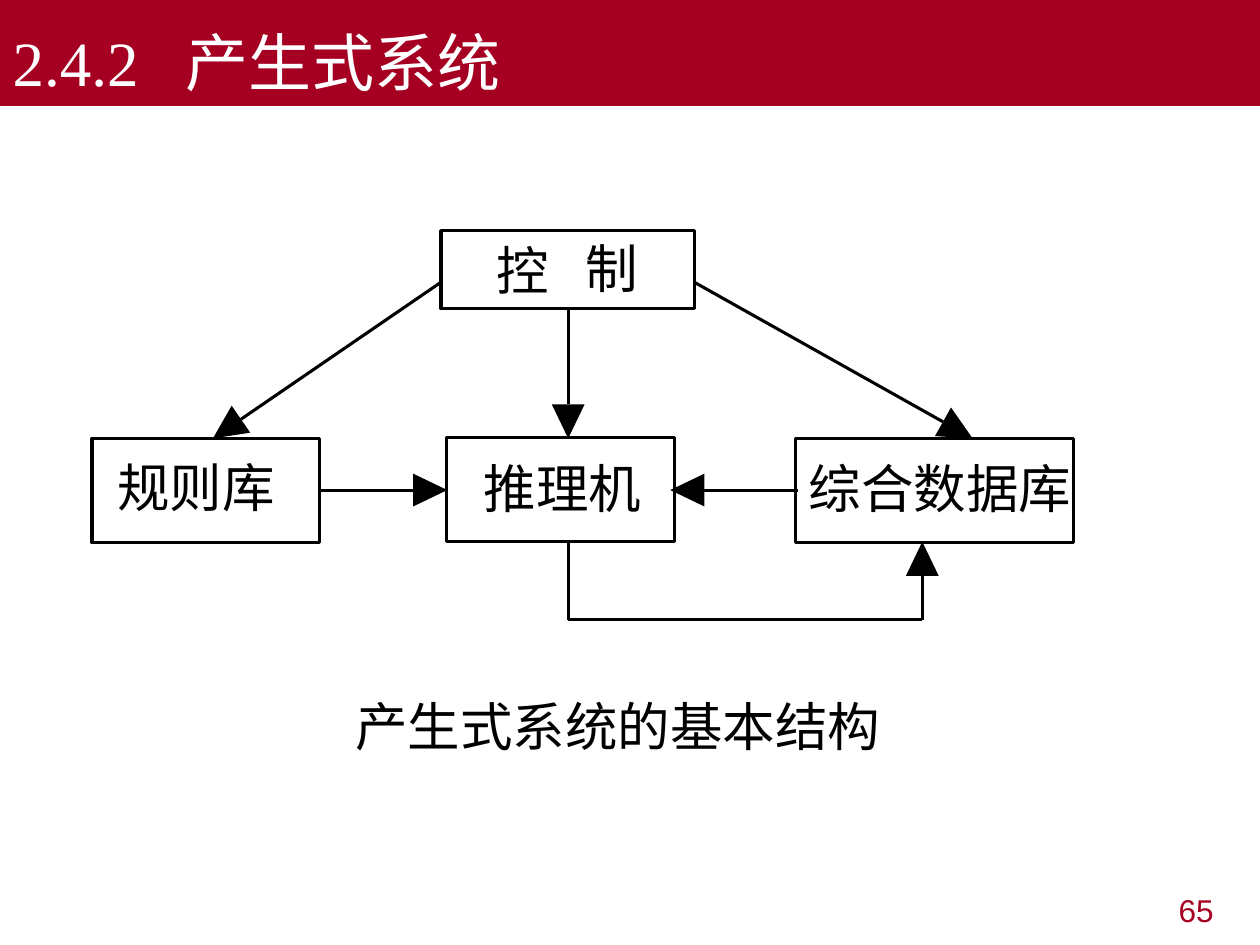
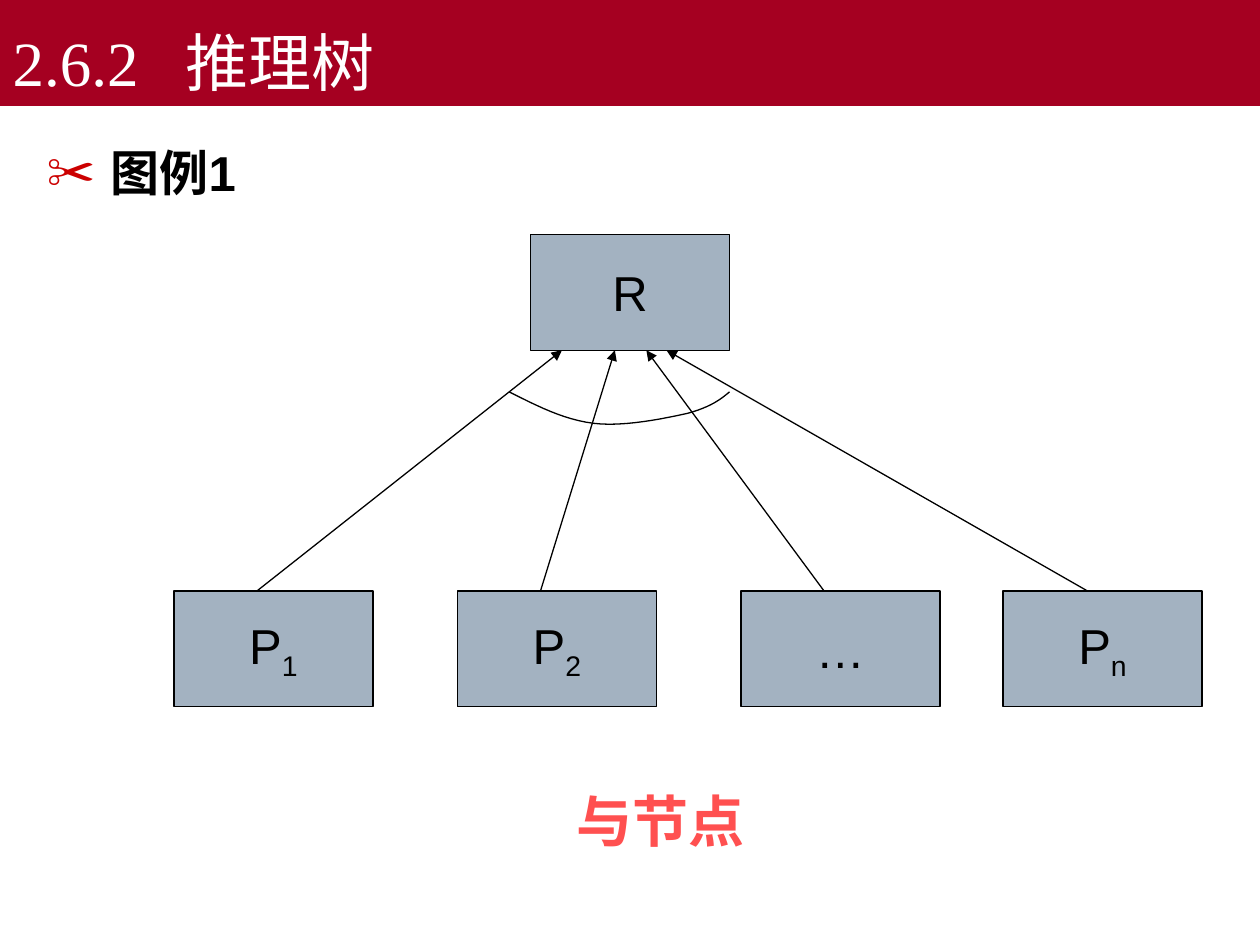
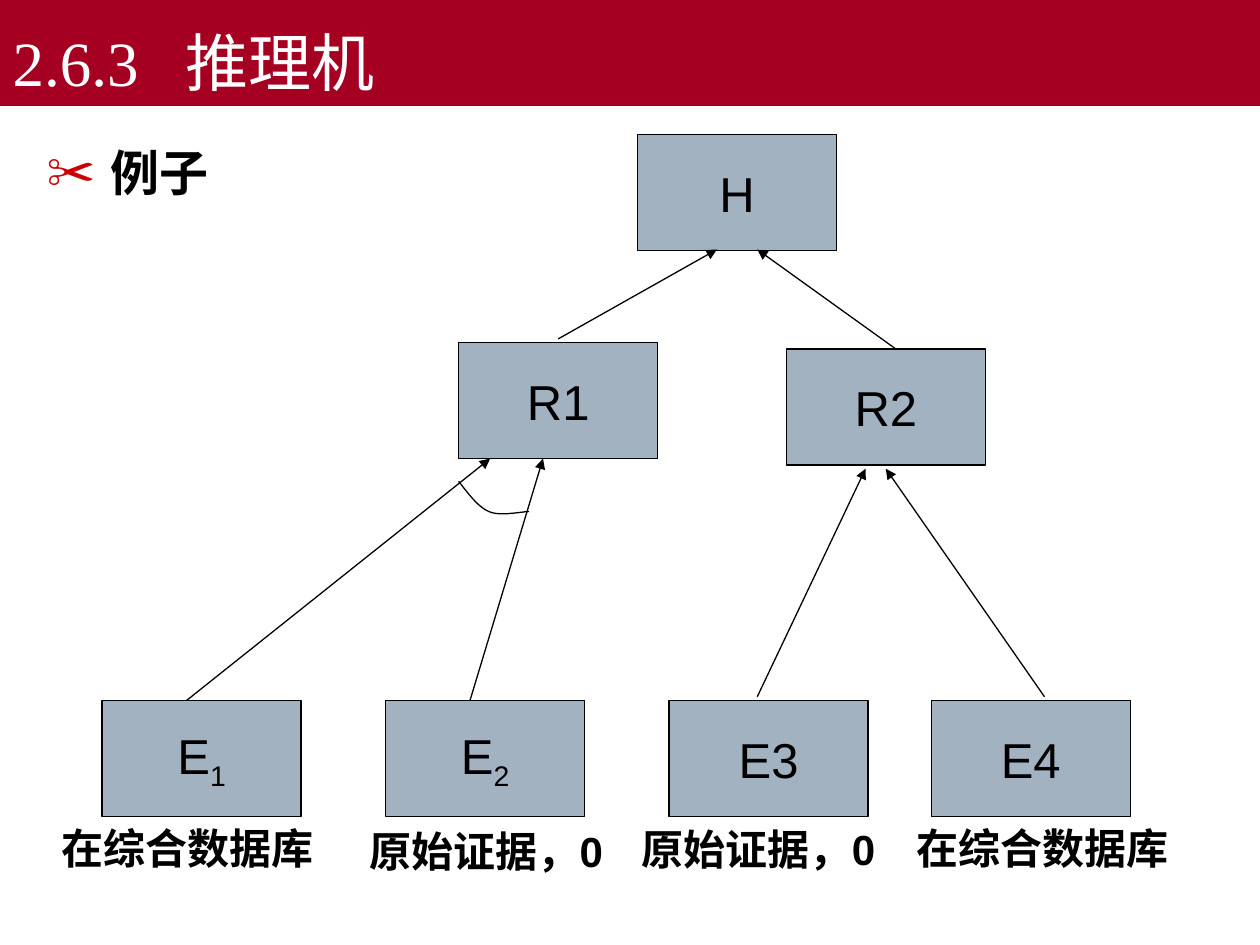
import math

import pptx
import pptx.util
from pptx.dml.color import RGBColor
from pptx.enum.shapes import MSO_CONNECTOR, MSO_SHAPE
from pptx.enum.text import MSO_ANCHOR, PP_ALIGN
from pptx.oxml.ns import qn
from pptx.oxml.xmlchemy import OxmlElement
from pptx.util import Inches

COLORS = {"band": "A50021", "white": "FFFFFF", "ink": "000000",
          "node": "A3B2C1", "bullet": "CC0000", "accent": "FF5050"}
SANS, SERIF, CJK = "Arial", "Times New Roman", "Noto Sans CJK SC"
TITLE_ONLY, TITLE_AND_BODY = 5, 1

# Content: structure of a production system
STRUCTURE = {
    "title": ("2.4.2", "产生式系统"),
    "frames": [(3.5, 1.83, 2.01, 0.62), (0.73, 3.48, 1.81, 0.83),
               (3.54, 3.47, 1.81, 0.83), (6.31, 3.48, 2.21, 0.83)],
    "labels": [("控", 3.94, 1.89), ("制", 4.65, 1.87), ("规则库", 0.93, 3.61),
               ("推理机", 3.84, 3.62), ("综合数据库", 6.42, 3.62),
               ("产生式系统的基本结构", 2.82, 5.51)],
    "arrows": [((4.51, 2.45), (4.51, 3.48)), ((3.5, 2.24), (1.69, 3.48)),
               ((5.51, 2.24), (7.72, 3.48)), ((2.54, 3.89), (3.55, 3.89)),
               ((6.33, 3.89), (5.32, 3.89)), ((7.32, 4.92), (7.32, 4.3))],
    "lines": [((4.51, 4.3), (4.51, 4.92)), ((4.51, 4.92), (7.32, 4.92))],
    "number": "65",
}

# Content: inference trees; a node is (text, subscript, left, top)
LEAF_OFFSETS = (0, 2.25, 4.5, 6.58)


def leaf_row(left, top, labels):
    return [(text, sub, left + offset, top)
            for (text, sub), offset in zip(labels, LEAF_OFFSETS)]


TREES = [
    {
        "title": ("2.6.2", "推理树"),
        "heading": "图例1",
        "nodes": [("R", "", 4.21, 1.86)] + leaf_row(
            1.38, 4.69, [("P", "1"), ("P", "2"), ("…", ""), ("P", "n")]),
        "links": [((2.04, 4.69), (4.46, 2.78)), ((4.29, 4.69), (4.88, 2.78)),
                  ((6.54, 4.69), (5.13, 2.78)), ((8.63, 4.69), (5.29, 2.78))],
        "arc": [(4.04, 3.11), (4.26, 3.22), (4.47, 3.33), (4.71, 3.36),
                (4.95, 3.39), (5.28, 3.32), (5.46, 3.28),
                (5.64, 3.23), (5.72, 3.17), (5.79, 3.11)],
        "notes": [("与节点", 3.98, 6.19, 2.52, 0.64, 32, "accent")],
    },
    {
        "title": ("2.6.3", "推理机"),
        "heading": "例子",
        "nodes": [("H", "", 5.06, 1.07), ("R1", "", 3.64, 2.72),
                  ("R2", "", 6.24, 2.77)] + leaf_row(
            0.81, 5.56, [("E", "1"), ("E", "2"), ("E3", ""), ("E4", "")]),
        "links": [((1.48, 5.56), (3.89, 3.64)), ((3.73, 5.56), (4.31, 3.64)),
                  ((6.01, 5.53), (6.87, 3.72)), ((8.29, 5.53), (7.03, 3.72)),
                  ((4.43, 2.69), (5.69, 1.98)), ((7.11, 2.77), (6.01, 1.98))],
        "arc": [(3.64, 3.82), (3.72, 3.92), (3.79, 4.02), (3.88, 4.06),
                (3.97, 4.1), (4.14, 4.06), (4.2, 4.06)],
        "notes": [("在综合数据库", 0.35, 6.48, 2.28, 0.5, 24, "ink"),
                  ("原始证据，0", 2.72, 6.5, 2.28, 0.5, 24, "ink"),
                  ("原始证据，0", 4.88, 6.49, 2.28, 0.5, 24, "ink"),
                  ("在综合数据库", 7.13, 6.48, 2.28, 0.5, 24, "ink")],
    },
]


# Helpers
def rgb(name):
    return RGBColor.from_string(COLORS[name])


def place(box, left, top, width, height):
    box.left, box.top = Inches(left), Inches(top)
    box.width, box.height = Inches(width), Inches(height)


def style_text(para, size, color, font=SANS, bold=False, align=PP_ALIGN.LEFT):
    para.alignment = align
    for span in para.runs:
        span.font.size = pptx.util.Pt(size)
        span.font.name = font
        span.font.bold = bold
        span.font.color.rgb = rgb(color)
        if font == CJK:
            east_asian = OxmlElement("a:ea")
            east_asian.set("typeface", font)
            span.font._element.append(east_asian)


def add_text(page, text, left, top, width, height, size, color, wrap=True,
             margins=(0.1, 0.05), **look):
    box = page.shapes.add_textbox(*map(Inches, (left, top, width, height)))
    frame = box.text_frame
    frame.word_wrap = wrap
    frame.margin_left = frame.margin_right = Inches(margins[0])
    frame.margin_top = frame.margin_bottom = Inches(margins[1])
    frame.text = text
    style_text(frame.paragraphs[0], size, color, **look)


def add_rectangle(page, left, top, width, height, line_width, fill=None):
    box = page.shapes.add_shape(MSO_SHAPE.RECTANGLE,
                                *map(Inches, (left, top, width, height)))
    box.shadow.inherit = False
    outline(box, line_width)
    if fill:
        box.fill.solid()
        box.fill.fore_color.rgb = rgb(fill)
    else:
        box.fill.background()
    return box


def outline(shape, width):
    shape.line.color.rgb = rgb("ink")
    shape.line.width = pptx.util.Pt(width)


def add_line(page, start, end, width, arrow=False):
    line = page.shapes.add_connector(MSO_CONNECTOR.STRAIGHT,
                                     *map(Inches, (*start, *end)))
    outline(line, width)
    properties = line._element.spPr
    if arrow:
        tail = OxmlElement("a:tailEnd")
        tail.set("type", "triangle")
        properties.find(qn("a:ln")).append(tail)
    properties.append(OxmlElement("a:effectLst"))


def add_outline(page, points, close):
    corners = [(Inches(x), Inches(y)) for x, y in points]
    builder = page.shapes.build_freeform(*corners[0])
    builder.add_line_segments(corners[1:], close=close)
    shape = builder.convert_to_shape()
    shape.shadow.inherit = False
    return shape


def add_big_arrow(page, start, tip, length=0.27, half=0.13):
    span = math.dist(start, tip)
    dx, dy = (tip[0] - start[0]) / span, (tip[1] - start[1]) / span
    base = (tip[0] - length * dx, tip[1] - length * dy)
    add_line(page, start, base, 1.75)
    head = add_outline(page, [(base[0] - half * dy, base[1] + half * dx), tip,
                              (base[0] + half * dy, base[1] - half * dx)], True)
    head.fill.solid()
    head.fill.fore_color.rgb = rgb("ink")
    head.line.fill.background()


def curve_points(controls, steps=12):
    points = [controls[0]]
    for first in range(0, len(controls) - 1, 3):
        segment = controls[first:first + 4]
        for step in range(1, steps + 1):
            t = step / steps
            weights = [math.comb(3, k) * t**k * (1 - t)**(3 - k) for k in range(4)]
            points.append(tuple(sum(w * p[axis] for w, p in zip(weights, segment))
                                for axis in (0, 1)))
    return points


# Shared parts
def add_page(deck, layout, title):
    page = deck.slides.add_slide(deck.slide_layouts[layout])
    band = page.shapes.title
    place(band, 0, 0, 10, 0.84)
    band.fill.solid()
    band.fill.fore_color.rgb = rgb("band")
    frame = band.text_frame
    frame.vertical_anchor = MSO_ANCHOR.BOTTOM
    frame.text = "\t".join(title)
    para = frame.paragraphs[0]
    tabs, tab = OxmlElement("a:tabLst"), OxmlElement("a:tab")
    tab.set("pos", str(Inches(1.37)))
    tab.set("algn", "l")
    tabs.append(tab)
    para._p.get_or_add_pPr().append(tabs)
    style_text(para, 36, "white", SERIF)
    return page


def add_heading(page, text):
    body = page.placeholders[1]
    place(body, 0.27, 0.99, 9.45, 5.91)
    body.text_frame.text = text
    para = body.text_frame.paragraphs[0]
    para.line_spacing = 1.2
    para.space_before = pptx.util.Pt(0)
    properties = para._p.get_or_add_pPr()
    properties.set("marL", str(Inches(0.51)))
    properties.set("indent", str(-Inches(0.51)))
    tint, shade = OxmlElement("a:buClr"), OxmlElement("a:srgbClr")
    shade.set("val", COLORS["bullet"])
    tint.append(shade)
    bullet = OxmlElement("a:buChar")
    bullet.set("char", "✂")
    properties.extend([tint, bullet])
    style_text(para, 28, "ink", bold=True)


def add_node(page, text, subscript, left, top):
    box = add_rectangle(page, left, top, 1.58, 0.92, 0.75, "node")
    frame = box.text_frame
    frame.word_wrap = False
    frame.vertical_anchor = MSO_ANCHOR.MIDDLE
    frame.text = text
    para = frame.paragraphs[0]
    if subscript:
        span = para.add_run()
        span.text = subscript
        span.font._element.set("baseline", "-25000")
    style_text(para, 28, "ink", align=PP_ALIGN.CENTER)


# Slides
def build_structure(deck, content):
    page = add_page(deck, TITLE_ONLY, content["title"])
    for frame in content["frames"]:
        add_rectangle(page, *frame, 1.75)
    for text, left, top in content["labels"]:
        add_text(page, text, left, top, 0.42 * len(text), 0.5, 30, "ink",
                 wrap=False, margins=(0, 0), font=CJK)
    for start, end in content["lines"]:
        add_line(page, start, end, 1.75)
    for start, tip in content["arrows"]:
        add_big_arrow(page, start, tip)
    add_text(page, content["number"], 7.4, 7.02, 2.33, 0.52, 18, "band",
             align=PP_ALIGN.RIGHT)


def build_tree(deck, content):
    page = add_page(deck, TITLE_AND_BODY, content["title"])
    add_heading(page, content["heading"])
    for node in content["nodes"]:
        add_node(page, *node)
    for start, end in content["links"]:
        add_line(page, start, end, 0.75, arrow=True)
    arc = add_outline(page, curve_points(content["arc"]), False)
    arc.fill.background()
    outline(arc, 0.75)
    for note in content["notes"]:
        add_text(page, *note, bold=True, align=PP_ALIGN.CENTER)


def main():
    deck = pptx.Presentation()
    deck.slide_width, deck.slide_height = Inches(10), Inches(7.5)
    build_structure(deck, STRUCTURE)
    for tree in TREES:
        build_tree(deck, tree)
    deck.save("out.pptx")


if __name__ == "__main__":
    main()
